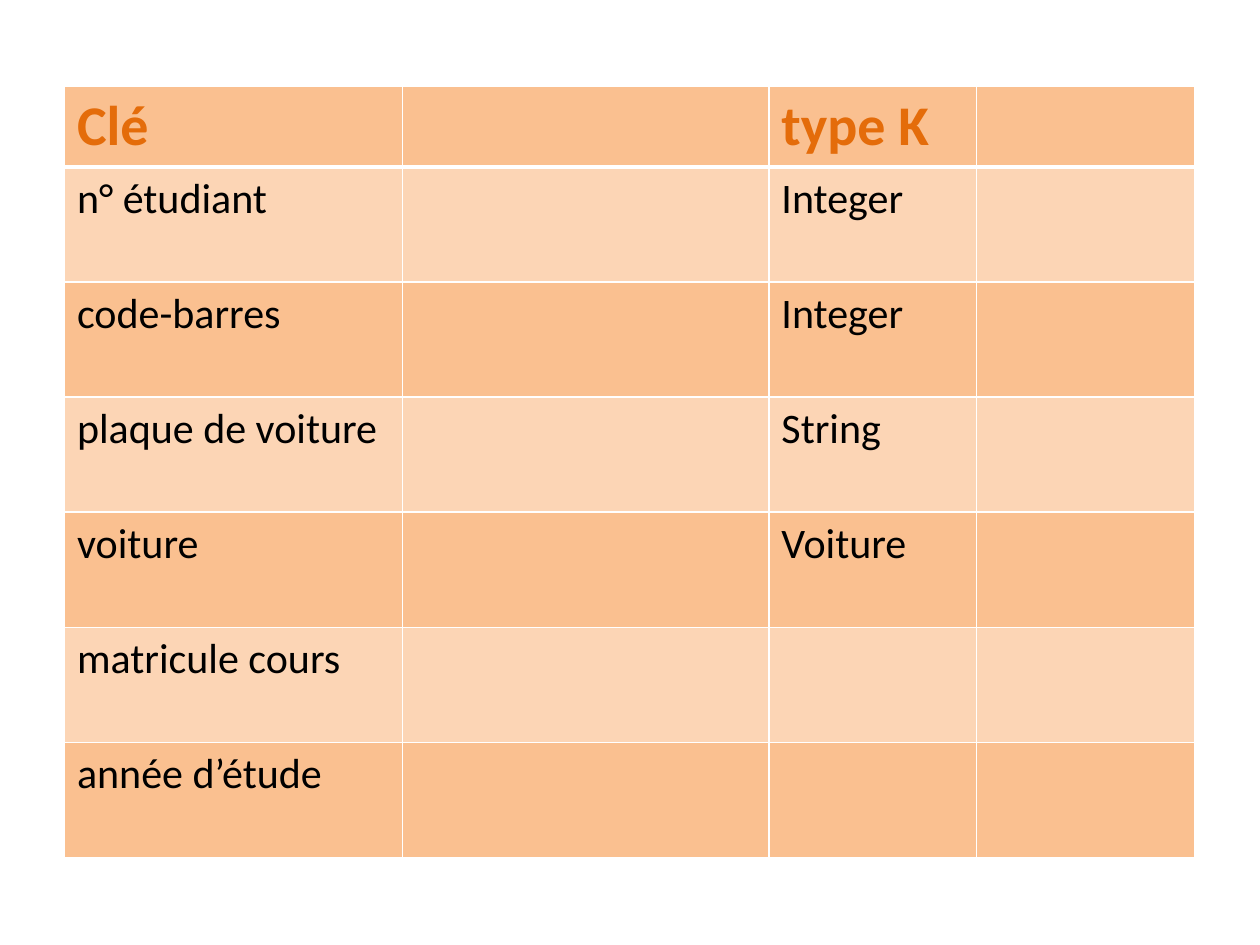
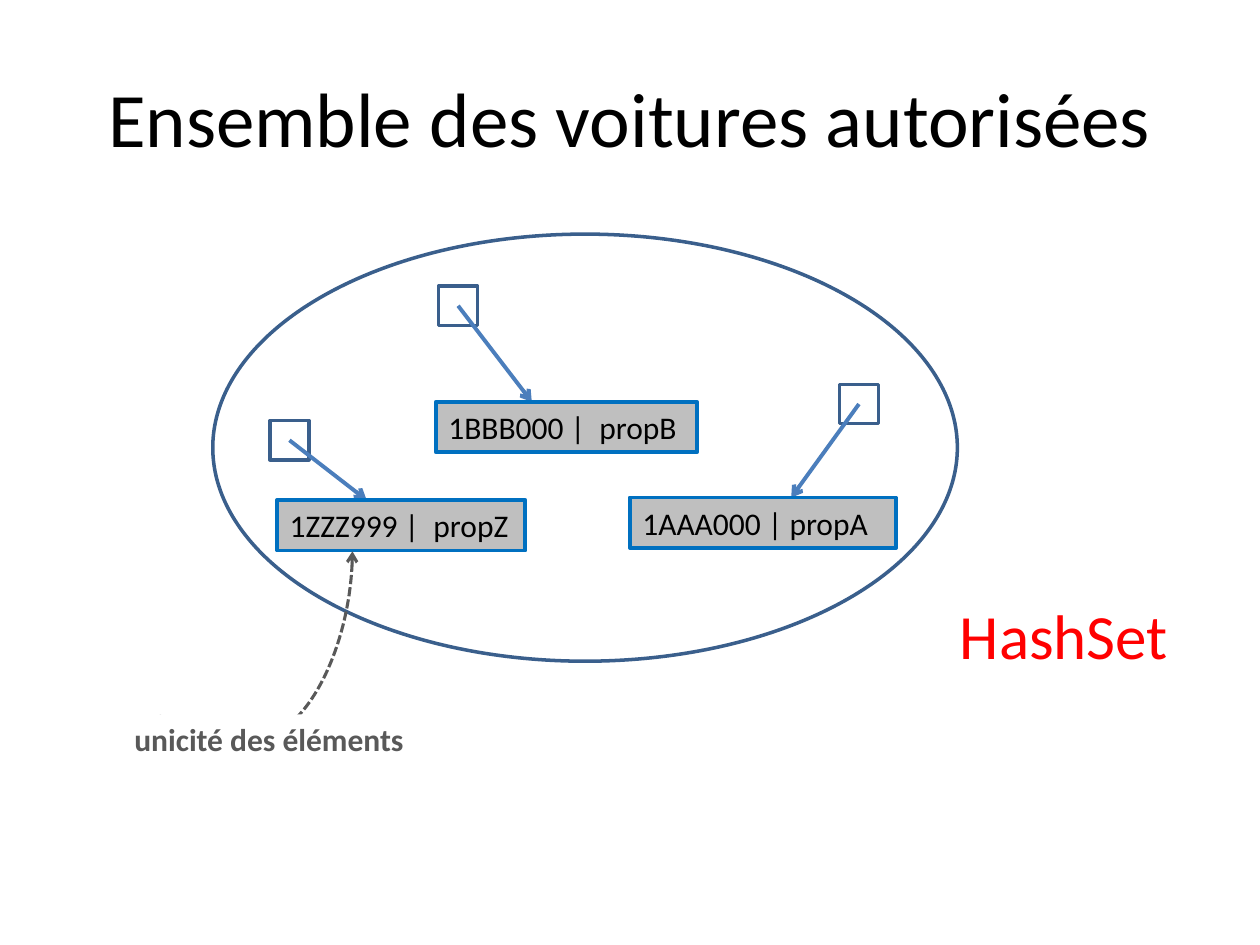
from lxml.etree import SubElement
from pptx import Presentation
from pptx.dml.color import RGBColor
from pptx.enum.shapes import MSO_CONNECTOR, MSO_SHAPE
from pptx.enum.text import MSO_ANCHOR, MSO_AUTO_SIZE, PP_ALIGN
from pptx.oxml import parse_xml
from pptx.oxml.ns import nsdecls, qn
from pptx.util import Cm, Pt

FONT = "Calibri"
HUES = {
    "black": "000000", "white": "FFFFFF", "red": "FF0000",
    "dark": "FAC090", "light": "FCD5B5", "head": "E46C0A",
    "navy": "3A5F8C", "arrow": "4B7EBC", "edge": "0070C0",
    "gray": "BFBFBF", "note": "595959",
}


def hue(name):
    return RGBColor.from_string(HUES[name])


class Deck:
    def __init__(self):
        self.prs = Presentation()
        self.prs.slide_width, self.prs.slide_height = Cm(25.4), Cm(19.05)
        self.slide = None

    def page(self):
        self.slide = self.prs.slides.add_slide(self.prs.slide_layouts[6])

    def style(self, frame, size, color, bold=False):
        for run in frame.paragraphs[0].runs:
            font = run.font
            font.name, font.size, font.bold = FONT, Pt(size), bold
            font.color.rgb = hue(color)

    def text(self, words, area, size=18, color="black", bold=False,
             fill=None, edge=None, wrap=True):
        box = self.slide.shapes.add_textbox(*map(Cm, area))
        if fill:
            box.fill.solid()
            box.fill.fore_color.rgb = hue(fill)
        if edge:
            box.line.color.rgb = hue(edge)
            box.line.width = Pt(2.25)
        frame = box.text_frame
        frame.text = words
        frame.word_wrap = wrap
        frame.auto_size = MSO_AUTO_SIZE.SHAPE_TO_FIT_TEXT
        self.style(frame, size, color, bold)
        return frame

    def title(self, words):
        frame = self.text(words, (1.27, 0.76, 22.86, 3.18), 44)
        frame.auto_size = MSO_AUTO_SIZE.NONE
        frame.vertical_anchor = MSO_ANCHOR.MIDDLE
        frame.paragraphs[0].alignment = PP_ALIGN.CENTER

    def outline(self, kind, area):
        shape = self.slide.shapes.add_shape(kind, *map(Cm, area))
        shape.shadow.inherit = False
        shape.fill.background()
        shape.line.color.rgb = hue("navy")
        shape.line.width = Pt(2)

    def arrow(self, start, end, kind=MSO_CONNECTOR.STRAIGHT,
              color="arrow", width=2.25, dash=None):
        link = self.slide.shapes.add_connector(kind, *map(Cm, start + end))
        link.line.color.rgb = hue(color)
        link.line.width = Pt(width)
        props = link._element.spPr
        line = props.find(qn("a:ln"))
        if dash:
            SubElement(line, qn("a:prstDash"), val=dash)
        SubElement(line, qn("a:tailEnd"), type="arrow")
        SubElement(props, qn("a:effectLst"))
        return link

    def curve(self, start, end, bend):
        """Draw a dashed curve, given before its quarter turn."""
        link = self.arrow(start, end, MSO_CONNECTOR.CURVE, "note", 1.75, "sysDash")
        link._element.spPr.find(qn("a:xfrm")).set("rot", str(90 * 60000))
        shape = link._element.spPr.find(qn("a:prstGeom"))
        guides = shape.find(qn("a:avLst"))
        if guides is None:
            guides = SubElement(shape, qn("a:avLst"))
        SubElement(guides, qn("a:gd"), name="adj1", fmla=f"val {bend}")

    def border(self, cell, **widths):
        """Put white lines on the sides L, R, T and B, widths in points."""
        props = cell._tc.get_or_add_tcPr()
        for spot, side in enumerate("LRTB"):
            props.insert(spot, parse_xml(
                f'<a:ln{side} {nsdecls("a")} w="{Pt(widths.get(side, 1))}">'
                f'<a:solidFill><a:srgbClr val="{HUES["white"]}"/></a:solidFill>'
                f'</a:ln{side}>'))

    def table(self, rows, left, top, widths, heights):
        grid = self.slide.shapes.add_table(
            len(rows), len(widths), Cm(left), Cm(top),
            Cm(sum(widths)), Cm(sum(heights))).table
        for col, width in zip(grid.columns, widths):
            col.width = Cm(width)
        for r, (words, height) in enumerate(zip(rows, heights)):
            grid.rows[r].height = Cm(height)
            for c, word in enumerate(words):
                cell = grid.cell(r, c)
                cell.fill.solid()
                cell.fill.fore_color.rgb = hue("light" if r % 2 else "dark")
                self.border(cell, T=3 if r == 1 else 1, B=1 if r else 3)
                if word:
                    cell.text_frame.text = word
                    look = (24, "black") if r else (32, "head", True)
                    self.style(cell.text_frame, *look)


def keys(deck):
    deck.page()
    pairs = [
        ("Clé", "type K"),
        ("n° étudiant", "Integer"),
        ("code-barres", "Integer"),
        ("plaque de voiture", "String"),
        ("voiture", "Voiture"),
        ("matricule cours", ""),
        ("année d’étude", ""),
    ]
    rows = [(key, "", kind, "") for key, kind in pairs]
    heights = [1.63] + [2.32] * (len(rows) - 1)
    deck.table(rows, 1.3, 1.73, (6.81, 7.39, 4.19, 4.39), heights)


def cars(deck):
    deck.page()
    deck.title("Ensemble des voitures autorisées")
    deck.outline(MSO_SHAPE.OVAL, (4.29, 4.72, 15.01, 8.61))
    side, high = 0.79, 1.02
    # label, its left, top and width, corner of its square, arrow tip x
    items = [
        ("1AAA000 | propA", 12.7, 10.03, 5.36, (16.92, 7.75), 15.95),
        ("1ZZZ999 |  propZ", 5.59, 10.08, 5, (5.44, 8.48), 7.39),
        ("1BBB000 |  propB", 8.79, 8.1, 5.26, (8.84, 5.77), 10.72),
    ]
    for words, left, top, width, (x, y), tip in items:
        deck.outline(MSO_SHAPE.RECTANGLE, (x, y, side, side))
        deck.arrow((x + side / 2, y + side / 2), (tip, top))
        deck.text(words, (left, top, width, high), fill="gray", edge="edge")
    deck.text("HashSet", (19.1, 11.91, 4.75, 1.8), 36, "red", wrap=False)
    deck.curve((6.81, 14.71), (3.51, 10.82), -14000)
    deck.text("unicité des éléments", (2.46, 14.4, 5.97, high),
              color="note", bold=True, fill="white", wrap=False)


def main():
    deck = Deck()
    keys(deck)
    cars(deck)
    deck.prs.save("out.pptx")


if __name__ == "__main__":
    main()
